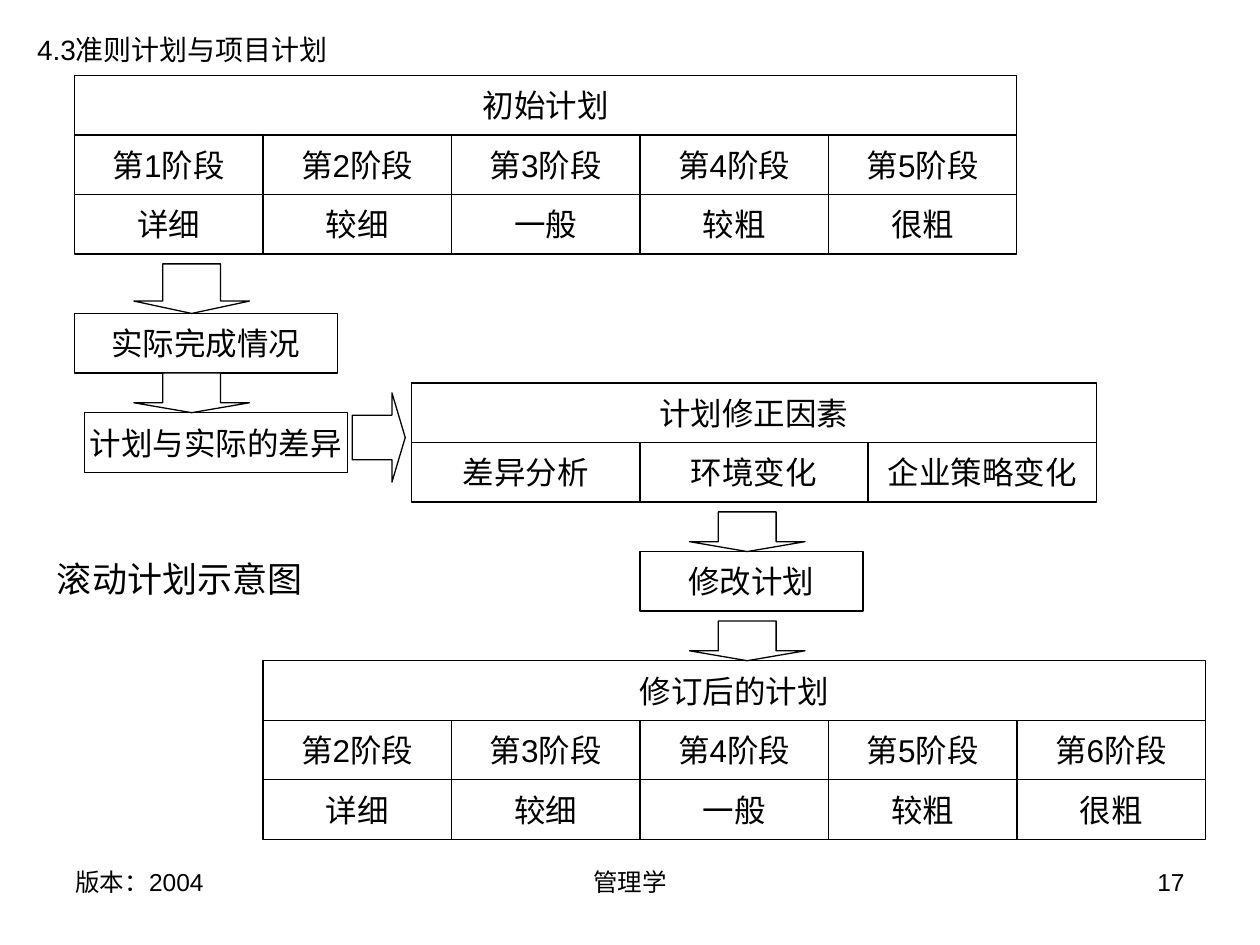
"""Draw the rolling plan diagram."""
from pptx import Presentation
from pptx.dml.color import RGBColor
from pptx.enum.shapes import MSO_SHAPE
from pptx.enum.text import MSO_ANCHOR, PP_ALIGN
from pptx.util import Cm, Pt

RECT, DOWN, RIGHT = MSO_SHAPE.RECTANGLE, MSO_SHAPE.DOWN_ARROW, MSO_SHAPE.RIGHT_ARROW
LEFT, MID, END = PP_ALIGN.LEFT, PP_ALIGN.CENTER, PP_ALIGN.RIGHT
MIDDLE = MSO_ANCHOR.MIDDLE

FONT, INK, PAPER = "Arial", "000000", "FFFFFF"
ROW = 1.2
GRADES = ["详细", "较细", "一般", "较粗", "很粗"]

GRIDS = [
    (1.5, 1.52, 19, [["初始计划"], [f"第{n}阶段" for n in range(1, 6)], GRADES]),
    (1.5, 6.32, 5.3, [["实际完成情况"]]),
    (1.7, 8.32, 5.3, [["计划与实际的差异"]]),
    (8.3, 7.72, 13.8, [["计划修正因素"], ["差异分析", "环境变化", "企业策略变化"]]),
    (12.9, 11.12, 4.5, [["修改计划"]]),
    (5.3, 13.32, 19, [["修订后的计划"], [f"第{n}阶段" for n in range(2, 7)], GRADES]),
]
ARROWS = [
    (DOWN, 2.7, 5.32, 2.33, 1),
    (DOWN, 2.7, 7.52, 2.33, 0.8),
    (RIGHT, 7.1, 7.92, 1.07, 1.8),
    (DOWN, 13.9, 10.32, 2.33, 0.8),
    (DOWN, 13.9, 12.52, 2.33, 0.8),
]
LABELS = [
    ("4.3准则计划与项目计划", 0.5, 0.53, 6.6, 0.94, 16, LEFT),
    ("滚动计划示意图", 0.9, 11.12, 5.8, 1.1, 20, LEFT),
    ("版本：2004", 1.27, 17.35, 5.92, 1.32, 14, LEFT),
    ("管理学", 8.68, 17.35, 8.04, 1.32, 14, MID),
    ("17", 18.21, 17.35, 5.92, 1.32, 14, END),
]


def tint(code):
    return RGBColor.from_string(code)


def write(frame, text, size, align):
    para = frame.paragraphs[0]
    para.alignment = align
    run = para.add_run()
    run.text = text
    run.font.name = FONT
    run.font.size = Pt(size)
    run.font.color.rgb = tint(INK)


def draw(slide, kind, *place):
    shape = slide.shapes.add_shape(kind, *map(Cm, place))
    shape.shadow.inherit = False
    shape.fill.solid()
    shape.fill.fore_color.rgb = tint(PAPER)
    shape.line.color.rgb = tint(INK)
    shape.line.width = Pt(0.75)
    return shape


def grid(slide, left, top, width, rows):
    for r, row in enumerate(rows):
        wide = width / len(row)
        for c, text in enumerate(row):
            cell = draw(slide, RECT, left + c * wide, top + r * ROW, wide, ROW)
            frame = cell.text_frame
            frame.word_wrap = False
            frame.vertical_anchor = MIDDLE
            write(frame, text, 18, MID)


def main():
    deck = Presentation()
    deck.slide_width, deck.slide_height = Cm(25.4), Cm(19.05)
    slide = deck.slides.add_slide(deck.slide_layouts[6])
    for item in GRIDS:
        grid(slide, *item)
    for kind, *place in ARROWS:
        arrow = draw(slide, kind, *place)
        arrow.adjustments[0], arrow.adjustments[1] = 0.5, 0.25
    for text, *place, size, align in LABELS:
        frame = slide.shapes.add_textbox(*map(Cm, place)).text_frame
        frame.word_wrap = True
        write(frame, text, size, align)
    deck.save("out.pptx")


if __name__ == "__main__":
    main()
